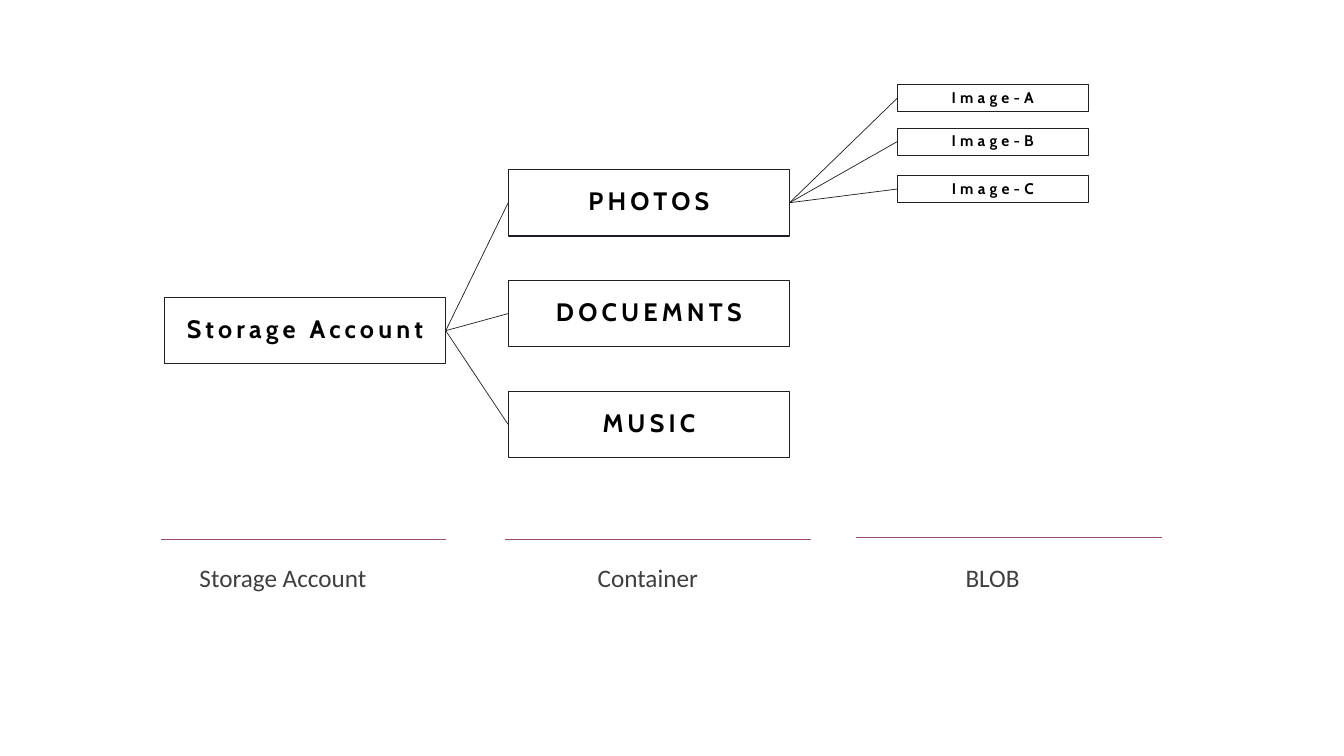
from pptx import Presentation
from pptx.dml.color import RGBColor
from pptx.enum import shapes, text
from pptx.oxml.ns import qn
from pptx.util import Pt

# Content: boxes by level, as (label, top)
ACCOUNT = [("Storage Account", 212.4)]
CONTAINERS = [(name, 121 + 79.2 * row)
              for row, name in enumerate(["PHOTOS", "DOCUEMNTS", "MUSIC"])]
BLOBS = [("Image-A", 60.5), ("Image-B", 91.5), ("Image-C", 125.3)]

# Levels: boxes, left, width, height, font size
LEVELS = [
    (ACCOUNT, 117.4, 201, 47.6, 18),
    (CONTAINERS, 363, 201, 47.6, 18),
    (BLOBS, 640.8, 136.8, 19.5, 11),
]

# Captions: label, left, width, rule start, rule end, rule height
CAPTIONS = [
    ("Storage Account", 135.4, 134, 115.2, 318.4, 385.2),
    ("Container", 419.8, 86.4, 360.7, 579.6, 385.2),
    ("BLOB", 682.6, 53.3, 611.3, 830.2, 383.8),
]
CAPTION_TOP, CAPTION_HEIGHT = 398.2, 29

INK, RULE = "1F1F26", "954F72"
BOX_FONT = {"name": "Cabin", "bold": True}
CAPTION_FONT = {"name": "Calibri", "size": Pt(18)}
RIGHT_SITE, LEFT_SITE = 3, 1

prs = Presentation()
prs.slide_width, prs.slide_height = Pt(960), Pt(540)
slide = prs.slides.add_slide(prs.slide_layouts[6])


def paint(color_format, color):
    color_format.rgb = RGBColor.from_string(color)


def write(frame, label, color, font):
    run = frame.paragraphs[0].add_run()
    run.text = label
    for key, value in font.items():
        setattr(run.font, key, value)
    paint(run.font.color, color)
    return run


def add_box(label, left, top, width, height, size):
    box = slide.shapes.add_shape(shapes.MSO_SHAPE.RECTANGLE,
                                 Pt(left), Pt(top), Pt(width), Pt(height))
    box.shadow.inherit = False
    box.fill.background()
    paint(box.line.color, INK)
    box.line.width = Pt(0.75)
    frame = box.text_frame
    frame.word_wrap = True
    frame.vertical_anchor = text.MSO_ANCHOR.MIDDLE
    frame.paragraphs[0].alignment = text.PP_ALIGN.CENTER
    frame.paragraphs[0].line_spacing = 0.9
    run = write(frame, label, "000000", BOX_FONT | {"size": Pt(size)})
    run.font._element.set("spc", "300")  # letter spacing of 3 pt
    return box


def add_line(x1, y1, x2, y2, color):
    line = slide.shapes.add_connector(shapes.MSO_CONNECTOR.STRAIGHT,
                                      Pt(x1), Pt(y1), Pt(x2), Pt(y2))
    paint(line.line.color, color)
    line.line.width = Pt(0.5)
    properties = line._element.spPr
    properties.append(properties.makeelement(qn("a:effectLst"), {}))
    return line


# Boxes of each level
account, containers, blobs = [
    [add_box(label, left, top, width, height, size) for label, top in boxes]
    for boxes, left, width, height, size in LEVELS
]

# Branches from the first box of a level to every box of the next
for parent, children in [(account[0], containers), (containers[0], blobs)]:
    for child in children:
        branch = add_line(0, 0, 0, 0, INK)
        branch.begin_connect(parent, RIGHT_SITE)
        branch.end_connect(child, LEFT_SITE)

# Rules and captions below the tree
for label, left, width, start, end, rule_y in CAPTIONS:
    add_line(start, rule_y, end, rule_y, RULE)
    caption = slide.shapes.add_textbox(Pt(left), Pt(CAPTION_TOP),
                                       Pt(width), Pt(CAPTION_HEIGHT))
    caption.text_frame.word_wrap = False
    caption.text_frame.auto_size = text.MSO_AUTO_SIZE.SHAPE_TO_FIT_TEXT
    write(caption.text_frame, label, "3F3F3F", CAPTION_FONT)

prs.save("out.pptx")
